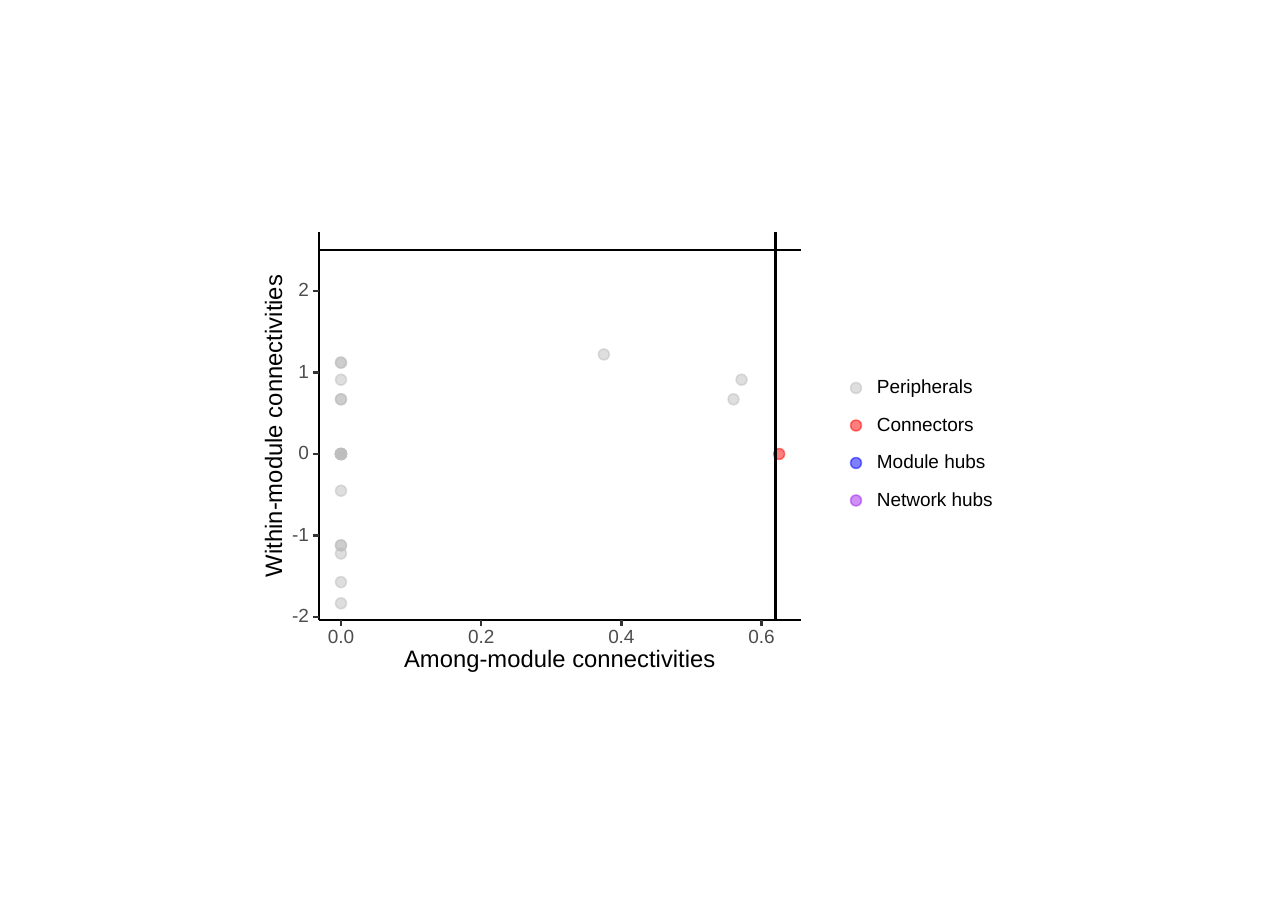
from lxml import etree
from pptx import Presentation
from pptx.dml.color import RGBColor
from pptx.enum.shapes import MSO_CONNECTOR, MSO_SHAPE
from pptx.enum.text import MSO_ANCHOR, PP_ALIGN
from pptx.oxml.ns import qn
from pptx.util import Pt

GROUPS = {"Peripherals": "BEBEBE", "Connectors": "FF0000",
          "Module hubs": "0000FF", "Network hubs": "A020F0"}
POINTS = {
    "Peripherals": [
        (0, 0), (0, -1.57), (0, 0), (0, 1.12), (0, -1.22), (0, 1.12), (0, 0),
        (0, 0), (0, 0), (3 / 8, 1.22), (0, 0.67), (0, -1.83), (4 / 7, 0.91),
        (0, -0.45), (0, 0), (0, 0), (0.56, 0.67), (0, -1.12), (0, -1.12),
        (0, 0), (0, 0.91), (0, 0.67)],
    "Connectors": [(5 / 8, 0)],
}
X_THRESHOLD, Y_THRESHOLD = 0.62, 2.5
X_TICKS, Y_TICKS = ["0.0", "0.2", "0.4", "0.6"], ["-2", "-1", "0", "1", "2"]
X_TITLE, Y_TITLE = "Among-module connectivities", "Within-module connectivities"

FONT, BLACK, TICK_TEXT, TICK_LINE = "Arial", "000000", "4D4D4D", "333333"
TITLE_SIZE, LABEL_SIZE = 11, 8.8

EMU_PER_PX = 5873
LEFT, TOP, RIGHT, BOTTOM = 319, 232, 801, 620
X_ZERO, X_UNIT = 341, 701
Y_ZERO, Y_UNIT = 454, 81.6
TICK, DOT = 6, 11
LEGEND_X, LEGEND_Y, LEGEND_STEP = 856, 388, 37.5


def px(*values):
    return [round(v * EMU_PER_PX) for v in values]


def rgb(color):
    return RGBColor.from_string(color)


def x_at(value):
    return X_ZERO + X_UNIT * value


def y_at(value):
    return Y_ZERO - Y_UNIT * value


def add_dot(slide, x, y, color):
    """Half-transparent dot centred on x, y."""
    dot = slide.shapes.add_shape(MSO_SHAPE.OVAL, *px(x - DOT / 2, y - DOT / 2, DOT, DOT))
    dot.shadow.inherit = False
    dot.fill.solid()
    dot.fill.fore_color.rgb = rgb(color)
    dot.line.color.rgb = rgb(color)
    dot.line.width = Pt(0.71)
    for clr in dot._element.spPr.iter(qn("a:srgbClr")):
        etree.SubElement(clr, qn("a:alpha")).set("val", "50000")


def add_line(slide, x1, y1, x2, y2, color=BLACK):
    line = slide.shapes.add_connector(MSO_CONNECTOR.STRAIGHT, *px(x1, y1, x2, y2))
    line.line.color.rgb = rgb(color)
    line.line.width = Pt(1.07)
    etree.SubElement(line._element.spPr, qn("a:effectLst"))


def add_text(slide, text, box, size=LABEL_SIZE, color=BLACK,
             align=PP_ALIGN.CENTER, rotation=0):
    tb = slide.shapes.add_textbox(*px(*box))
    tb.rotation = rotation
    tf = tb.text_frame
    tf.word_wrap = True
    tf.vertical_anchor = MSO_ANCHOR.MIDDLE
    tf.margin_left = tf.margin_right = tf.margin_top = tf.margin_bottom = 0
    p = tf.paragraphs[0]
    p.alignment = align
    p.line_spacing = Pt(size)
    r = p.add_run()
    r.text = text
    r.font.size, r.font.name = Pt(size), FONT
    r.font.color.rgb = rgb(color)


def add_points(slide):
    for name, points in POINTS.items():
        for x, y in points:
            add_dot(slide, x_at(x), y_at(y), GROUPS[name])


def add_thresholds(slide):
    x, y = x_at(X_THRESHOLD), y_at(Y_THRESHOLD)
    add_line(slide, x, BOTTOM, x, TOP)
    add_line(slide, LEFT, y, RIGHT, y)


def add_axes(slide):
    add_line(slide, LEFT, BOTTOM, LEFT, TOP)
    for label in Y_TICKS:
        y = y_at(float(label))
        add_text(slide, label, (LEFT - 30, y - 7, 20, 14), color=TICK_TEXT,
                 align=PP_ALIGN.RIGHT)
        add_line(slide, LEFT - TICK, y, LEFT, y, TICK_LINE)
    add_line(slide, LEFT, BOTTOM, RIGHT, BOTTOM)
    for label in X_TICKS:
        x = x_at(float(label))
        add_line(slide, x, BOTTOM + TICK, x, BOTTOM, TICK_LINE)
        add_text(slide, label, (x - 20, BOTTOM + 11, 40, 14), color=TICK_TEXT)
    add_text(slide, X_TITLE, (400, 649, 320, 22), TITLE_SIZE)
    add_text(slide, Y_TITLE, (115, 415, 320, 22), TITLE_SIZE, rotation=270)


def add_legend(slide):
    for i, (name, color) in enumerate(GROUPS.items()):
        y = LEGEND_Y + i * LEGEND_STEP
        add_dot(slide, LEGEND_X, y, color)
        add_text(slide, name, (LEGEND_X + 21, y - 7, 130, 14), align=PP_ALIGN.LEFT)


def main():
    prs = Presentation()
    prs.slide_width, prs.slide_height = px(1288, 908)
    slide = prs.slides.add_slide(prs.slide_layouts[6])
    add_points(slide)
    add_thresholds(slide)
    add_axes(slide)
    add_legend(slide)
    prs.save("out.pptx")


if __name__ == "__main__":
    main()
